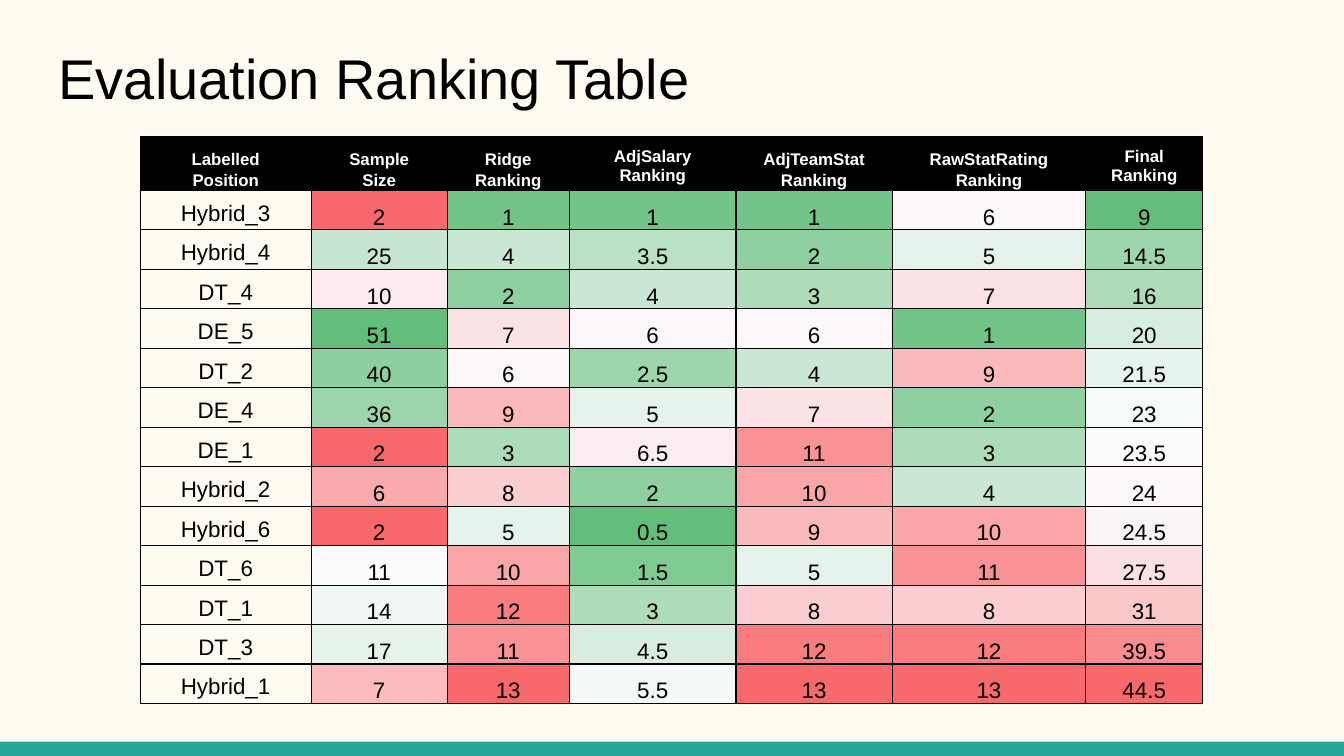
from lxml.etree import SubElement
from pptx import Presentation
from pptx.dml.color import RGBColor
from pptx.enum.shapes import MSO_SHAPE
from pptx.enum.text import MSO_ANCHOR, PP_ALIGN
from pptx.oxml.ns import qn
from pptx.util import Cm, Pt

COLORS = {
    "cream": "FFFBF0",
    "teal": "26A69A",
    "black": "000000",
    "white": "FFFFFF",
    "green": "63BE7B",
    "neutral": "FCFCFF",
    "red": "F8696B",
}
RGB = {name: RGBColor.from_string(value) for name, value in COLORS.items()}

HEADERS = [
    "Labelled\nPosition", "Sample\nSize", "Ridge\nRanking", "AdjSalary\nRanking",
    "AdjTeamStat\nRanking", "RawStatRating\nRanking", "Final\nRanking",
]
ROWS = [
    ("Hybrid_3", 2, 1, 1, 1, 6, 9),
    ("Hybrid_4", 25, 4, 3.5, 2, 5, 14.5),
    ("DT_4", 10, 2, 4, 3, 7, 16),
    ("DE_5", 51, 7, 6, 6, 1, 20),
    ("DT_2", 40, 6, 2.5, 4, 9, 21.5),
    ("DE_4", 36, 9, 5, 7, 2, 23),
    ("DE_1", 2, 3, 6.5, 11, 3, 23.5),
    ("Hybrid_2", 6, 8, 2, 10, 4, 24),
    ("Hybrid_6", 2, 5, 0.5, 9, 10, 24.5),
    ("DT_6", 11, 10, 1.5, 5, 11, 27.5),
    ("DT_1", 14, 12, 3, 8, 8, 31),
    ("DT_3", 17, 11, 4.5, 12, 12, 39.5),
    ("Hybrid_1", 7, 13, 5.5, 13, 13, 44.5),
]
COL_WIDTHS = [3.23, 2.57, 2.31, 3.15, 2.95, 3.66, 2.21]
RANK_SCALE = (0.5, 5.75, 13, "green", "red")
SCALES = [
    None, (2, 11, 51, "red", "green"), *[RANK_SCALE] * 4,
    (9, 23.5, 44.5, "green", "red"),
]
SINGLE_SPACED_HEADERS = (0, 1, 2, 4, 5)


def scale_color(value, low, mid, high, low_name, high_name):
    end, name = (low, low_name) if value < mid else (high, high_name)
    share = (value - mid) / (end - mid)
    return RGBColor(*(round(a + (b - a) * share) for a, b in zip(RGB["neutral"], RGB[name])))


def add_borders(cell):
    tc_pr = cell._tc.get_or_add_tcPr()
    for side in ("a:lnL", "a:lnR", "a:lnT", "a:lnB"):
        ln = SubElement(tc_pr, qn(side), w=str(Pt(0.67)))
        SubElement(SubElement(ln, qn("a:solidFill")), qn("a:srgbClr"), val=COLORS["black"])


prs = Presentation()
prs.slide_width, prs.slide_height = Cm(25.4), Cm(14.29)
s = prs.slides.add_slide(prs.slide_layouts[6])
s.background.fill.solid()
s.background.fill.fore_color.rgb = RGB["cream"]

bar = s.shapes.add_shape(MSO_SHAPE.RECTANGLE, 0, Cm(14.02), prs.slide_width, Cm(0.27))
bar.shadow.inherit = False
bar.fill.solid()
bar.fill.fore_color.rgb = RGB["teal"]
bar.line.fill.background()

table = s.shapes.add_table(
    len(ROWS) + 1, len(HEADERS), Cm(2.65), Cm(2.58), Cm(20.08), Cm(10.59)
).table
table.horz_banding = False
for col, width in zip(table.columns, COL_WIDTHS):
    col.width = Cm(width)
for i, row in enumerate(table.rows):
    row.height = Cm(0.64 if i else 0.84)

cell_format = {
    "margin_left": 0, "margin_right": 0, "margin_bottom": 0,
    "margin_top": Cm(0.2), "vertical_anchor": MSO_ANCHOR.TOP,
}
header_font = {"name": "Arial", "size": Pt(9), "bold": True}
body_font = {"name": "Arial", "size": Pt(12), "bold": False}

for i, values in enumerate([HEADERS, *ROWS]):
    is_header = i == 0
    for j, value in enumerate(values):
        cell = table.cell(i, j)
        for key, setting in cell_format.items():
            setattr(cell, key, setting)
        add_borders(cell)
        if not is_header and j == 0:
            cell.fill.background()
        else:
            cell.fill.solid()
            cell.fill.fore_color.rgb = (
                RGB["black"] if is_header else scale_color(value, *SCALES[j])
            )
        cell.text_frame.text = str(value)
        loose = j in SINGLE_SPACED_HEADERS if is_header else j > 0
        for p in cell.text_frame.paragraphs:
            p.alignment = PP_ALIGN.CENTER
            if loose:
                p.line_spacing = 1.15
            font = p.runs[0].font
            for key, setting in (header_font if is_header else body_font).items():
                setattr(font, key, setting)
            font.color.rgb = RGB["white" if is_header else "black"]

title = s.shapes.add_textbox(Cm(0.86), Cm(0.58), Cm(23.67), Cm(1.6))
tf = title.text_frame
tf_format = {
    "word_wrap": True, "vertical_anchor": MSO_ANCHOR.TOP,
    **{f"margin_{side}": Cm(0.25) for side in ("left", "top", "right", "bottom")},
}
for key, setting in tf_format.items():
    setattr(tf, key, setting)
r = tf.paragraphs[0].add_run()
r.text = "Evaluation Ranking Table"
r.font.name, r.font.size = "Arial", Pt(30)
r.font.color.rgb = RGB["black"]

prs.save("out.pptx")
